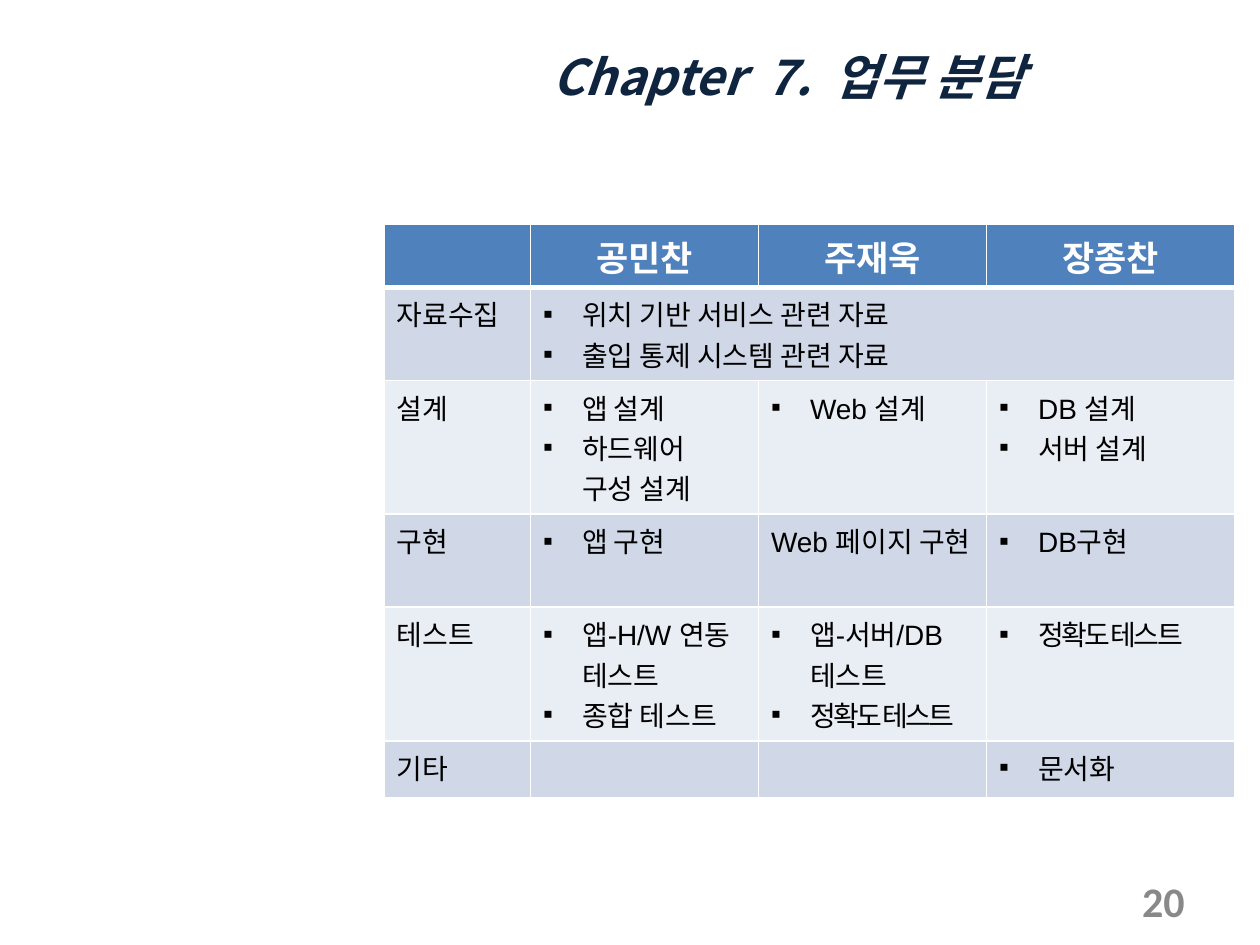
from pptx import Presentation
from pptx.dml.color import RGBColor
from pptx.enum.text import MSO_ANCHOR, PP_ALIGN
from pptx.oxml.ns import qn
from pptx.util import Inches, Pt
from lxml.etree import SubElement

KOREAN = "Noto Sans CJK KR"
HEADER = dict(size=Pt(20), name="Arial", bold=True, color="FFFFFF")
BODY = dict(size=Pt(16), name="Arial", bold=False, color="000000")
COL_WIDTHS = [1.16, 1.81, 1.81, 1.97]
ROW_HEIGHTS = [0.5, 0.74, 1.06, 0.74, 1.06, 0.45]
MEMBERS = ["", "공민찬", "주재욱", "장종찬"]
TIGHT = "정확도 테스트"
TASKS = [
    ["자료수집", ["위치 기반 서비스 관련 자료", "출입 통제 시스템 관련 자료"], [], []],
    ["설계", ["앱 설계", "하드웨어\v구성 설계"], ["Web 설계"], ["DB 설계", "서버 설계"]],
    ["구현", ["앱 구현"], "Web 페이지 구현", ["DB구현"]],
    ["테스트", ["앱-H/W 연동 테스트", "종합 테스트"], ["앱-서버/DB 테스트", TIGHT], [TIGHT]],
    ["기타", [], [], ["문서화"]],
]


def rgb(color):
    return RGBColor.from_string(color)


def add_line(parent, tag, color, width):
    ln = SubElement(parent, qn(tag), w=str(Pt(width)))
    fill = SubElement(ln, qn("a:solidFill"))
    SubElement(fill, qn("a:srgbClr"), val=color)
    return ln


def format_text(p, text, color, align=PP_ALIGN.LEFT, **values):
    p.text = text
    p.alignment = align
    for r in p.runs:
        for key, value in values.items():
            setattr(r.font, key, value)
        r.font.color.rgb = rgb(color)
        rPr = r._r.get_or_add_rPr()
        rPr.find(qn("a:latin")).addnext(rPr.makeelement(qn("a:ea"), {"typeface": KOREAN}))
        if text == TIGHT:
            rPr.set("spc", "-150")


def add_bullet(p):
    pPr = p._p.get_or_add_pPr()
    pPr.set("marL", str(Inches(0.31)))
    pPr.set("indent", str(-Inches(0.31)))
    SubElement(pPr, qn("a:buFont"), typeface="Arial")
    SubElement(pPr, qn("a:buChar"), char="▪")


def add_text(slide, box, text, **values):
    sp = slide.shapes.add_textbox(*map(Inches, box))
    tf = sp.text_frame
    tf.word_wrap = True
    tf.vertical_anchor = MSO_ANCHOR.MIDDLE
    format_text(tf.paragraphs[0], text, **values)
    return tf.paragraphs[0]


def style_cell(cell, fill, bottom=1):
    tcPr = cell._tc.get_or_add_tcPr()
    for side, width in zip("LRTB", (1, 1, 1, bottom)):
        add_line(tcPr, f"a:ln{side}", "FFFFFF", width)
    cell.fill.solid()
    cell.fill.fore_color.rgb = rgb(fill)


def fill_cell(cell, content):
    tf = cell.text_frame
    if isinstance(content, str):
        format_text(tf.paragraphs[0], content, **BODY)
        return
    for i, item in enumerate(content):
        p = tf.add_paragraph() if i else tf.paragraphs[0]
        format_text(p, item, **BODY)
        add_bullet(p)


def add_task_table(slide):
    size = (sum(COL_WIDTHS), sum(ROW_HEIGHTS))
    table = slide.shapes.add_table(
        len(ROW_HEIGHTS), len(COL_WIDTHS), *map(Inches, (3.05, 1.78, *size))).table
    for column, width in zip(table.columns, COL_WIDTHS):
        column.width = Inches(width)
    for row, height in zip(table.rows, ROW_HEIGHTS):
        row.height = Inches(height)
    table.cell(1, 1).merge(table.cell(1, 3))
    for c, member in enumerate(MEMBERS):
        cell = table.cell(0, c)
        style_cell(cell, "4F81BD", bottom=3)
        format_text(cell.text_frame.paragraphs[0], member, align=PP_ALIGN.CENTER, **HEADER)
    for r, tasks in enumerate(TASKS, 1):
        for c, content in enumerate(tasks):
            cell = table.cell(r, c)
            style_cell(cell, "D0D8E8" if r % 2 else "E9EDF4")
            fill_cell(cell, content)


def main():
    prs = Presentation()
    prs.slide_width, prs.slide_height = Inches(10), Inches(7.5)
    slide = prs.slides.add_slide(prs.slide_layouts[6])
    title = add_text(slide, (2.8, 0.21, 6.92, 0.79), "Chapter  7.  업무 분담",
                     color="0F243E", align=PP_ALIGN.CENTER, size=Pt(28),
                     name=KOREAN, bold=True, italic=True)
    rPr = title.runs[0]._r.get_or_add_rPr()
    rPr.insert(0, add_line(rPr, "a:ln", "376092", 0.75))
    add_task_table(slide)
    add_text(slide, (7.17, 6.95, 2.33, 0.4), "20", color="898989",
             align=PP_ALIGN.RIGHT, size=Pt(24), name="Calibri", bold=True)
    prs.save("out.pptx")


if __name__ == "__main__":
    main()
